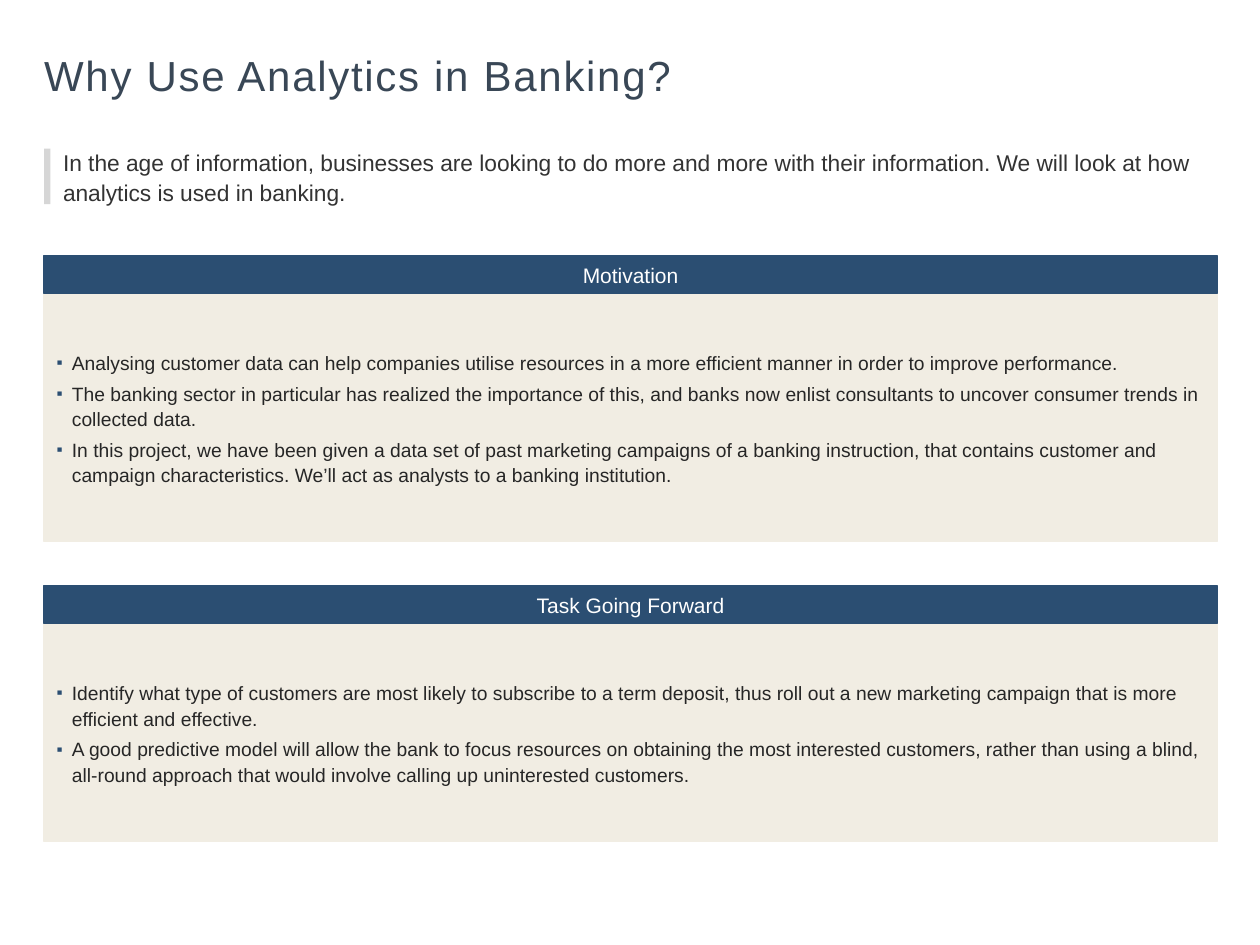
import pptx
import pptx.dml.color
import pptx.enum.shapes
import pptx.enum.text
import pptx.oxml.ns
import pptx.util
from dataclasses import dataclass
from lxml import etree

Pt = pptx.util.Pt
ALIGN = pptx.enum.text.PP_ALIGN
ANCHOR = pptx.enum.text.MSO_ANCHOR


@dataclass
class Theme:
    font: str = "Arial"
    title: str = "394756"
    intro: str = "333333"
    text: str = "262626"
    navy: str = "2B4E72"
    cream: str = "F1EDE3"
    grey: str = "D6D6D6"
    white: str = "FFFFFF"
    title_size: int = 24
    intro_size: int = 13
    heading_size: int = 12
    list_size: int = 11


theme = Theme()


def add_block(left, top, width, height, color):
    block = slide.shapes.add_shape(
        pptx.enum.shapes.MSO_SHAPE.RECTANGLE, Pt(left), Pt(top), Pt(width), Pt(height))
    block.shadow.inherit = False
    block.fill.solid()
    block.fill.fore_color.rgb = pptx.dml.color.RGBColor.from_string(color)
    block.line.color.rgb = block.fill.fore_color.rgb
    block.line.width = Pt(0.75)
    return block


def format_text(frame, size, color, align, anchor, spacing, before=0, margins=(0, 0, 0, 0)):
    frame.word_wrap = True
    frame.auto_size = pptx.enum.text.MSO_AUTO_SIZE.NONE
    frame.vertical_anchor = anchor
    frame.margin_left, frame.margin_top, frame.margin_right, frame.margin_bottom = map(Pt, margins)
    for paragraph in frame.paragraphs:
        paragraph.alignment = align
        paragraph.line_spacing = spacing
        paragraph.space_before = Pt(before)
        for run in paragraph.runs:
            run.font.name = theme.font
            run.font.size = Pt(size)
            run.font.color.rgb = pptx.dml.color.RGBColor.from_string(color)


deck = pptx.Presentation()
deck.slide_width, deck.slide_height = Pt(720), Pt(540)
slide = deck.slides.add_slide(deck.slide_layouts[1])
left, width = 25.2, 670.3

# Title, with letters spaced by one point
title = slide.shapes.title
title.left, title.top, title.width, title.height = Pt(left), Pt(15.1), Pt(669.6), Pt(41.8)
title.text_frame.text = "Why Use Analytics in Banking?"
format_text(title.text_frame, theme.title_size, theme.title, ALIGN.LEFT, ANCHOR.BOTTOM, 1)
title.text_frame.paragraphs[0].runs[0].font._element.set("spc", "100")

# Introduction with its grey marker
add_block(left, 85, 3.6, 31.7, theme.grey).line.fill.background()
intro = slide.placeholders[1]
intro.left, intro.top, intro.width, intro.height = Pt(32.4), Pt(79.2), Pt(661.7), Pt(43.2)
intro.text_frame.text = (
    "In the age of information, businesses are looking to do more and more with their "
    "information. We will look at how analytics is used in banking.")
format_text(intro.text_frame, theme.intro_size, theme.intro, ALIGN.LEFT, ANCHOR.MIDDLE, 1.1,
            margins=(3.6, 3.6, 7.2, 3.6))
intro_props = intro.text_frame.paragraphs[0]._p.get_or_add_pPr()
intro_props.set("marL", "0")
intro_props.set("indent", "0")
etree.SubElement(intro_props, pptx.oxml.ns.qn("a:buNone"))

# Sections: heading, top of heading, height of panel, points
sections = [
    ("Motivation", 146.2, 141.8, [
        "Analysing customer data can help companies utilise resources in a more efficient "
        "manner in order to improve performance.",
        "The banking sector in particular has realized the importance of this, and banks now "
        "enlist consultants to uncover consumer trends in collected data.",
        "In this project, we have been given a data set of past marketing campaigns of a banking "
        "instruction, that contains customer and campaign characteristics. We’ll act as analysts "
        "to a banking institution."]),
    ("Task Going Forward", 334.8, 124.6, [
        "Identify what type of customers are most likely to subscribe to a term deposit, thus "
        "roll out a new marketing campaign that is more efficient and effective.",
        "A good predictive model will allow the bank to focus resources on obtaining the most "
        "interested customers, rather than using a blind, all-round approach that would involve "
        "calling up uninterested customers."]),
]
heading_height = 21.6

for heading, top, panel_height, points in sections:
    panel = add_block(left, top + heading_height, width, panel_height, theme.cream)
    panel.text_frame.text = "\n".join(points)
    format_text(panel.text_frame, theme.list_size, theme.text, ALIGN.LEFT, ANCHOR.MIDDLE, 1.1,
                before=3, margins=(7.2, 3.6, 7.2, 3.6))

    # Square navy bullets with a hanging indent
    for point in panel.text_frame.paragraphs:
        point.level = 1
        props = point._p.get_or_add_pPr()
        props.set("marL", str(Pt(8.8)))
        props.set("indent", str(Pt(-8.8)))
        bullet_color = etree.SubElement(props, pptx.oxml.ns.qn("a:buClr"))
        etree.SubElement(bullet_color, pptx.oxml.ns.qn("a:srgbClr"), val=theme.navy)
        etree.SubElement(props, pptx.oxml.ns.qn("a:buSzPct"), val="90000")
        etree.SubElement(props, pptx.oxml.ns.qn("a:buFont"), typeface=theme.font)
        etree.SubElement(props, pptx.oxml.ns.qn("a:buChar"), char="▪")

    banner = add_block(left, top, width, heading_height, theme.navy)
    banner.text_frame.text = heading
    format_text(banner.text_frame, theme.heading_size, theme.white, ALIGN.CENTER,
                ANCHOR.MIDDLE, 1.06)

deck.save("out.pptx")
